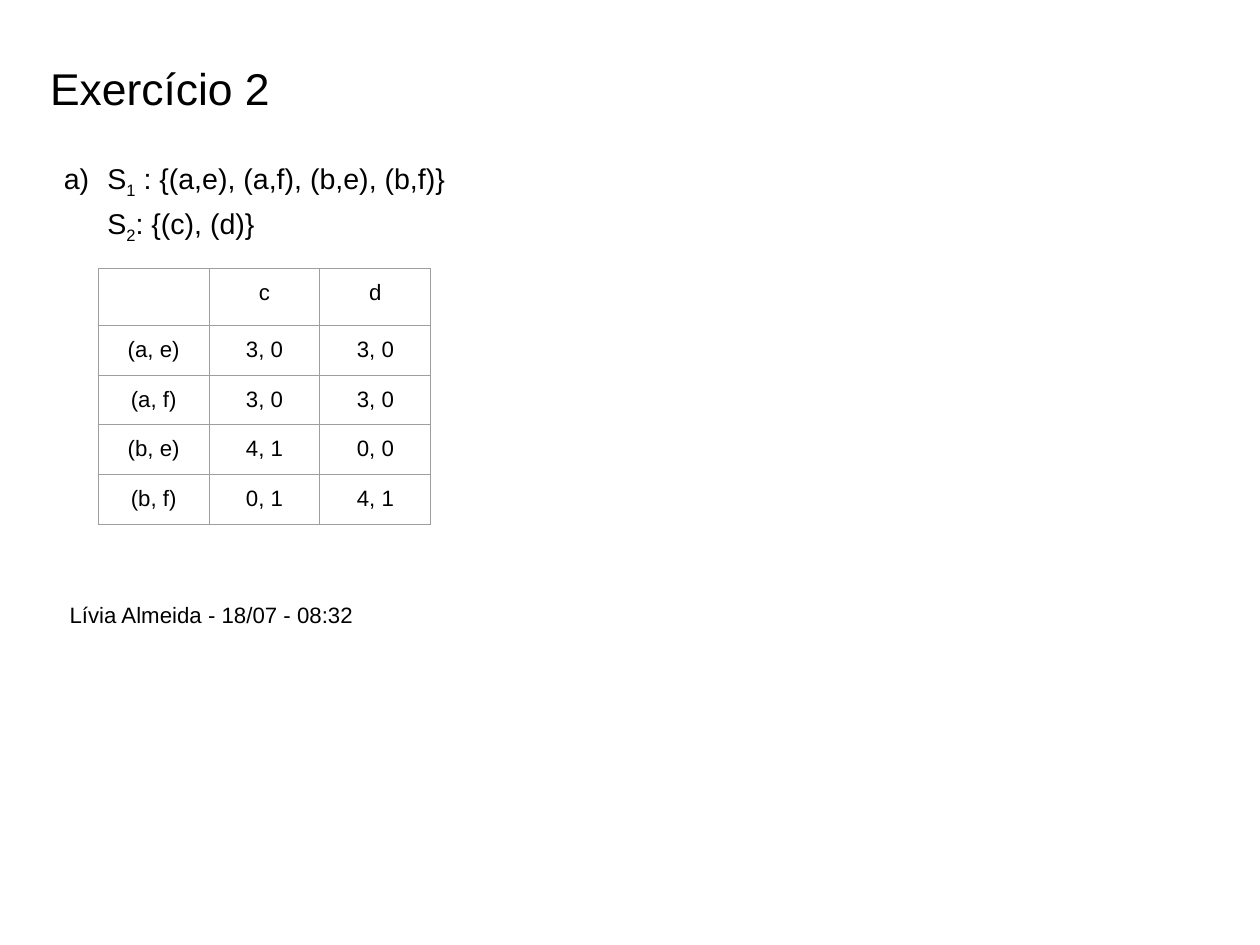
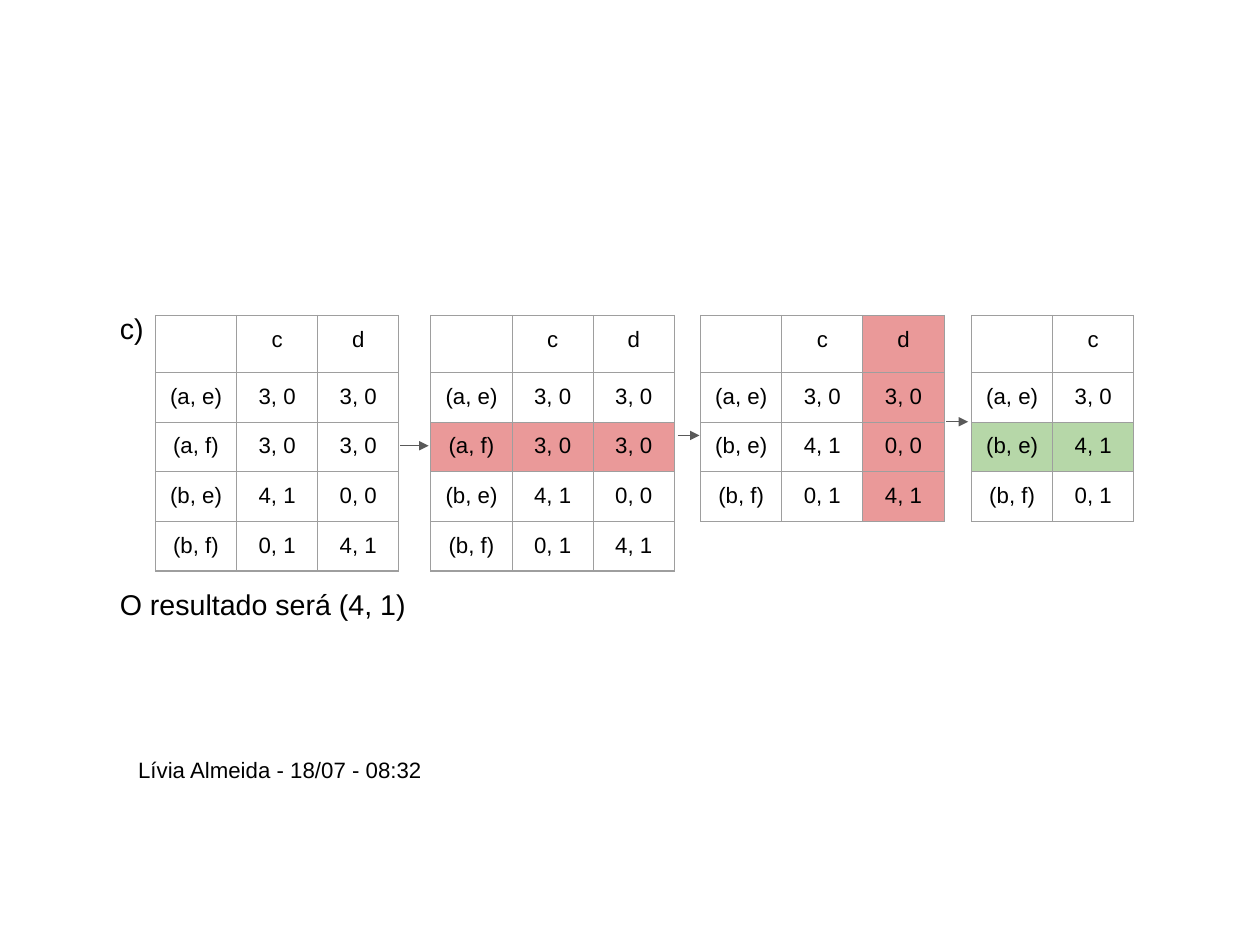
from dataclasses import dataclass

from lxml import etree
from pptx import Presentation
from pptx.dml.color import RGBColor
from pptx.enum.shapes import MSO_CONNECTOR
from pptx.enum.text import MSO_AUTO_SIZE, PP_ALIGN
from pptx.oxml.ns import qn
from pptx.util import Cm, Inches, Pt

STRAIGHT = MSO_CONNECTOR.STRAIGHT
CENTER = PP_ALIGN.CENTER
FIT_SHAPE = MSO_AUTO_SIZE.SHAPE_TO_FIT_TEXT

BLACK = RGBColor(0x00, 0x00, 0x00)
BORDER = RGBColor(0x9E, 0x9E, 0x9E)
ARROW = RGBColor(0x59, 0x59, 0x59)
RED = RGBColor(0xEA, 0x99, 0x99)
GREEN = RGBColor(0xB6, 0xD7, 0xA8)

FONT = "Arial"
TITLE_SIZE, BODY_SIZE, SMALL_SIZE = 28, 18, 14
INSET = Inches(0.1)
HEADER_HEIGHT, ROW_HEIGHT = 0.48, 0.42
PLAIN_TABLE_STYLE = "{2D5ABB26-0587-4C30-8999-92F81FD0307C}"
SIGNATURE = "Lívia Almeida - 18/07 - 08:32"

PAYOFFS = {
    "(a, e)": {"c": "3, 0", "d": "3, 0"},
    "(a, f)": {"c": "3, 0", "d": "3, 0"},
    "(b, e)": {"c": "4, 1", "d": "0, 0"},
    "(b, f)": {"c": "0, 1", "d": "4, 1"},
}
ALL_ROWS = tuple(PAYOFFS)
REDUCED_ROWS = ("(a, e)", "(b, e)", "(b, f)")


@dataclass(frozen=True)
class Game:
    """A payoff table; the row or column named by marked is filled."""
    left: float
    top: float
    col_width: float
    rows: tuple[str, ...] = ALL_ROWS
    cols: tuple[str, ...] = ("c", "d")
    marked: str = ""
    color: RGBColor = RED


@dataclass(frozen=True)
class Arrow:
    start: float
    end: float
    y: float


STEP_TOP, STEP_COL = 2.76, 0.71
STEPS = (
    Game(3.77, STEP_TOP, STEP_COL, marked="(a, f)"),
    Game(6.13, STEP_TOP, STEP_COL, REDUCED_ROWS, marked="d"),
    Game(8.5, STEP_TOP, STEP_COL, REDUCED_ROWS, ("c",), "(b, e)", GREEN),
    Game(1.36, STEP_TOP, STEP_COL),
)
ARROWS = (Arrow(3.5, 3.75, 3.9), Arrow(5.93, 6.12, 3.81), Arrow(8.28, 8.47, 3.69))


def set_default_font(prs) -> None:
    for root in (prs.element, prs.slide_master.element):
        for latin in root.iter(qn("a:latin")):
            latin.set("typeface", FONT)


def set_font(p, size: int) -> None:
    p.font.name = FONT
    p.font.size = Pt(size)
    p.font.color.rgb = BLACK


def set_end_mark(p, size: int) -> None:
    """Fix the font of the paragraph mark, which sets the least row height."""
    mark = etree.SubElement(p._p, qn("a:endParaRPr"), sz=str(size * 100))
    etree.SubElement(mark, qn("a:latin"), typeface=FONT)


def add_text_box(slide, left: float, top: float, width: float, height: float):
    tf = slide.shapes.add_textbox(
        Inches(left), Inches(top), Inches(width), Inches(height)).text_frame
    tf.word_wrap = True
    tf.margin_left = tf.margin_right = tf.margin_top = tf.margin_bottom = INSET
    return tf


def write(p, text: str, size: int, spacing: float = 1.0) -> None:
    p.text = text
    p.line_spacing = spacing
    set_font(p, size)


def add_signature(slide, left: float, top: float) -> None:
    tf = add_text_box(slide, left, top, 3.52, 0.44)
    tf.auto_size = FIT_SHAPE
    write(tf.paragraphs[0], SIGNATURE, SMALL_SIZE)


def add_borders(cell) -> None:
    tc_pr = cell._tc.get_or_add_tcPr()
    for side in ("a:lnL", "a:lnR", "a:lnT", "a:lnB"):
        ln = etree.SubElement(tc_pr, qn(side), w=str(Pt(0.75)))
        fill = etree.SubElement(ln, qn("a:solidFill"))
        etree.SubElement(fill, qn("a:srgbClr"), val=str(BORDER))


def add_game(slide, game: Game) -> None:
    grid = [("", *game.cols)]
    grid += [(row, *(PAYOFFS[row][col] for col in game.cols)) for row in game.rows]
    n_cols = len(grid[0])
    table = slide.shapes.add_table(
        len(grid), n_cols, Inches(game.left), Inches(game.top),
        Inches(game.col_width * n_cols),
        Inches(HEADER_HEIGHT + ROW_HEIGHT * len(game.rows))).table
    table.first_row = table.horz_banding = False
    table._tbl.tblPr.find(qn("a:tableStyleId")).text = PLAIN_TABLE_STYLE
    for column in table.columns:
        column.width = Inches(game.col_width)
    for i, values in enumerate(grid):
        table.rows[i].height = Inches(ROW_HEIGHT if i else HEADER_HEIGHT)
        for j, value in enumerate(values):
            cell = table.cell(i, j)
            cell.margin_left = cell.margin_right = INSET
            cell.margin_top = cell.margin_bottom = INSET
            add_borders(cell)
            if game.marked and game.marked in (values[0], grid[0][j]):
                cell.fill.solid()
                cell.fill.fore_color.rgb = game.color
            else:
                cell.fill.background()
            p = cell.text_frame.paragraphs[0]
            if value:
                write(p, value, SMALL_SIZE)
                p.alignment = CENTER
            set_end_mark(p, SMALL_SIZE if value else BODY_SIZE)


def add_arrow(slide, arrow: Arrow) -> None:
    line = slide.shapes.add_connector(
        STRAIGHT, Inches(arrow.start), Inches(arrow.y),
        Inches(arrow.end), Inches(arrow.y))
    line.line.color.rgb = ARROW
    line.line.width = Pt(0.75)
    etree.SubElement(line.line._get_or_add_ln(), qn("a:tailEnd"), type="triangle")
    etree.SubElement(line._element.spPr, qn("a:effectLst"))


def add_letter_numbering(p) -> None:
    p_pr = p._p.get_or_add_pPr()
    p_pr.set("marL", str(Inches(0.5)))
    p_pr.set("indent", str(Inches(-0.38)))
    color = etree.SubElement(p_pr, qn("a:buClr"))
    etree.SubElement(color, qn("a:srgbClr"), val=str(BLACK))
    etree.SubElement(p_pr, qn("a:buFont"), typeface=FONT)
    etree.SubElement(p_pr, qn("a:buAutoNum"), type="alphaLcParenR")


def add_strategy_set(p, index: str, members: str) -> None:
    """Add S with a subscript index, then its members."""
    p.add_run().text = "S"
    r = p.add_run()
    r.text = index
    r._r.get_or_add_rPr().set("baseline", "-25000")
    p.add_run().text = members


def build_strategies(slide) -> None:
    tf = add_text_box(slide, 0.34, 0.49, 9.32, 0.63)
    write(tf.paragraphs[0], "Exercício 2", TITLE_SIZE, 0.9)

    p = add_text_box(slide, 0.34, 1.26, 8.88, 3.74).paragraphs[0]
    add_letter_numbering(p)
    p.line_spacing = 1.15
    set_font(p, BODY_SIZE)
    add_strategy_set(p, "1", " : {(a,e), (a,f), (b,e), (b,f)}")
    p.add_line_break()
    add_strategy_set(p, "2", ": {(c), (d)}")

    add_game(slide, Game(0.86, 2.35, 0.97))
    add_signature(slide, 0.51, 5.16)


def build_elimination(slide) -> None:
    tf = add_text_box(slide, 0.95, 2.61, 8.88, 3.74)
    write(tf.paragraphs[0], "c)", BODY_SIZE, 1.05)
    p = tf.add_paragraph()
    write(p, "O resultado será (4, 1)", BODY_SIZE, 1.05)
    p.space_before = Pt(151)

    for game in STEPS:
        add_game(slide, game)
    for arrow in ARROWS:
        add_arrow(slide, arrow)
    add_signature(slide, 1.11, 6.52)


def main() -> None:
    prs = Presentation()
    prs.slide_width, prs.slide_height = Cm(28), Cm(21)
    set_default_font(prs)
    for build in (build_strategies, build_elimination):
        build(prs.slides.add_slide(prs.slide_layouts[6]))
    prs.save("out.pptx")


if __name__ == "__main__":
    main()
